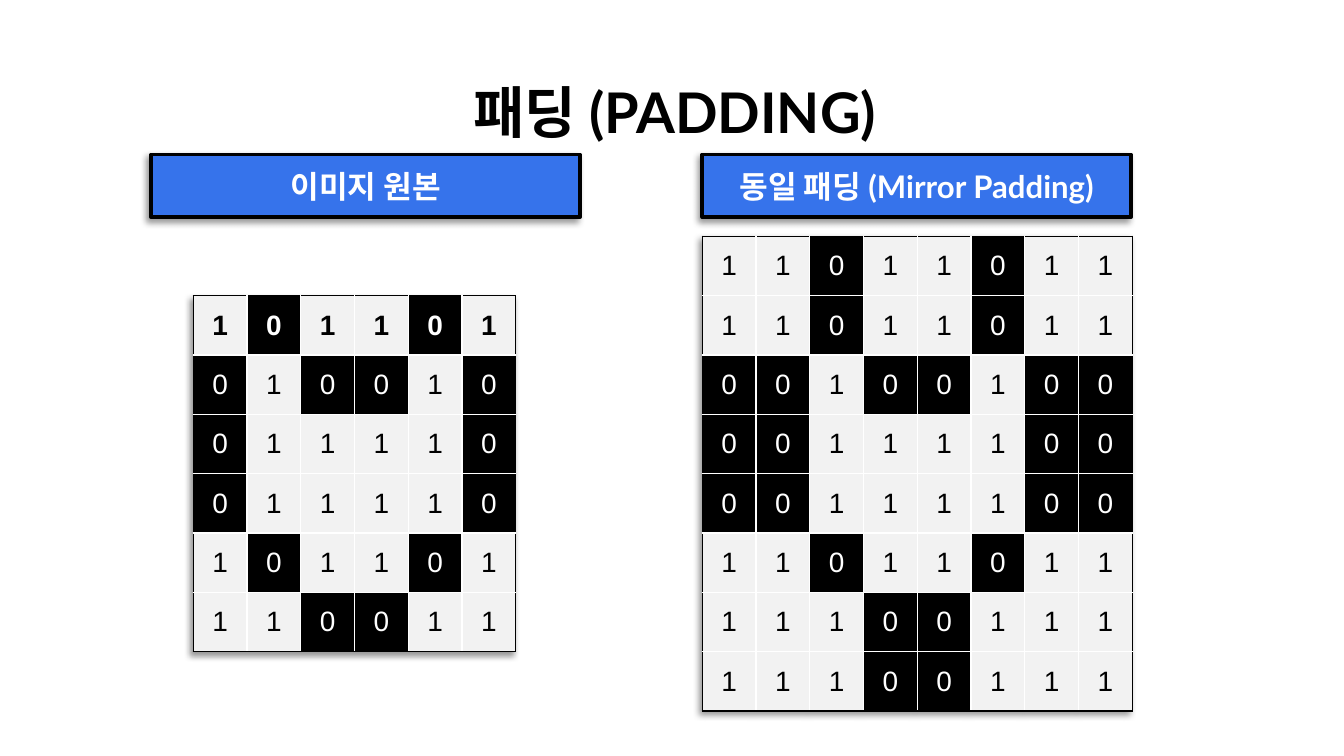
from lxml.etree import SubElement
from pptx import Presentation
from pptx.dml.color import RGBColor
from pptx.enum.shapes import MSO_SHAPE as Shape
from pptx.enum.text import MSO_ANCHOR as Anchor, MSO_AUTO_SIZE as AutoSize, PP_ALIGN as Align
from pptx.oxml.ns import qn
from pptx.util import Inches, Pt

BLACK, WHITE, LIGHT, BLUE = "000000", "FFFFFF", "F2F2F2", "3673EB"
CELL_WIDTH, CELL_HEIGHT = 0.48, 0.53
BANNER_WIDTH = 3.83
IMAGE = ["101101", "010010", "011110", "011110", "101101", "110011"]


def color(hex_string):
    return RGBColor.from_string(hex_string)


def mirror(items):
    """Repeat the first and the last item once at each end."""
    return items[:1] + items + items[-1:]


def write(holder, text, size=18, font="Arial", ink=BLACK, bold=False, spacing=None):
    """Write one centred paragraph into a text frame."""
    para = holder.paragraphs[0]
    para.alignment = Align.CENTER
    if spacing:
        para.line_spacing = spacing
    span = para.add_run()
    span.text = text
    span.font.size, span.font.name, span.font.bold = Pt(size), font, bold
    span.font.color.rgb = color(ink)


def add_color(parent, hex_string):
    return SubElement(parent, qn("a:srgbClr"), val=hex_string)


def add_shadow(effects):
    """Fill an effect list with a soft shadow towards the lower left."""
    shadow = SubElement(effects, qn("a:outerShdw"), blurRad=str(Pt(4)),
                        dist=str(Pt(3)), dir=str(135 * 60000), algn="tr", rotWithShape="0")
    SubElement(add_color(shadow, BLACK), qn("a:alpha"), val="40000")


def set_borders(cell, **sides):
    properties = cell._tc.get_or_add_tcPr()
    for side, hex_string in sides.items():
        line = SubElement(properties, qn(f"a:ln{side}"), w=str(Pt(1)))
        add_color(SubElement(line, qn("a:solidFill")), hex_string)


def add_title(page, text):
    title = page.shapes.title
    title.left, title.top = Inches(0.57), Inches(0.7)
    title.width, title.height = Inches(10.91), Inches(0.65)
    frame = title.text_frame
    frame.vertical_anchor, frame.auto_size = Anchor.BOTTOM, AutoSize.NONE
    write(frame, text, size=36, font="Lato", bold=True, spacing=0.9)


def add_banner(page, text, left):
    banner = page.shapes.add_shape(Shape.RECTANGLE, Inches(left), Inches(1.38),
                                   Inches(BANNER_WIDTH), Inches(0.56))
    banner.fill.solid()
    banner.fill.fore_color.rgb = color(BLUE)
    banner.line.color.rgb = color(BLACK)
    banner.line.width = Pt(2.25)
    banner.shadow.inherit = False
    add_shadow(banner._element.spPr.find(qn("a:effectLst")))
    banner.text_frame.vertical_anchor = Anchor.MIDDLE
    write(banner.text_frame, text, size=20, font="Lato", ink=WHITE, bold=True)


def add_pixels(page, pixels, left, top, bold_first=False):
    """Draw strings of 0 and 1 as a table with a black outline."""
    rows, columns = len(pixels), len(pixels[0])
    table = page.shapes.add_table(rows, columns, Inches(left), Inches(top),
                                  Inches(columns * CELL_WIDTH),
                                  Inches(rows * CELL_HEIGHT)).table
    table.first_row = table.horz_banding = False
    effects = table._tbl.tblPr.makeelement(qn("a:effectLst"))
    table._tbl.tblPr.insert(0, effects)
    add_shadow(effects)
    for column in table.columns:
        column.width = Inches(CELL_WIDTH)
    for row in table.rows:
        row.height = Inches(CELL_HEIGHT)
    for y, values in enumerate(pixels):
        for x, value in enumerate(values):
            cell = table.cell(y, x)
            set_borders(cell,
                        L=BLACK if x == 0 else WHITE,
                        R=BLACK if x == columns - 1 else WHITE,
                        T=BLACK if y == 0 else WHITE,
                        B=BLACK if y == rows - 1 else WHITE)
            cell.fill.solid()
            cell.fill.fore_color.rgb = color(LIGHT if value == "1" else BLACK)
            cell.vertical_anchor = Anchor.MIDDLE
            write(cell.text_frame, value, ink=BLACK if value == "1" else WHITE,
                  bold=bold_first and y == 0)


def main():
    deck = Presentation()
    deck.slide_width, deck.slide_height = Inches(12), Inches(6.75)
    page = deck.slides.add_slide(deck.slide_layouts[5])
    left, right, top = 1.35, 6.27, 2.11
    add_pixels(page, [mirror(row) for row in mirror(IMAGE)], right, top)
    image_left = left + (BANNER_WIDTH - len(IMAGE[0]) * CELL_WIDTH) / 2 - 0.1
    add_pixels(page, IMAGE, image_left, top + CELL_HEIGHT, bold_first=True)
    add_banner(page, "이미지 원본", left)
    add_banner(page, "동일 패딩 (Mirror Padding)", right)
    add_title(page, "패딩 (PADDING)")
    deck.save("out.pptx")


if __name__ == "__main__":
    main()
